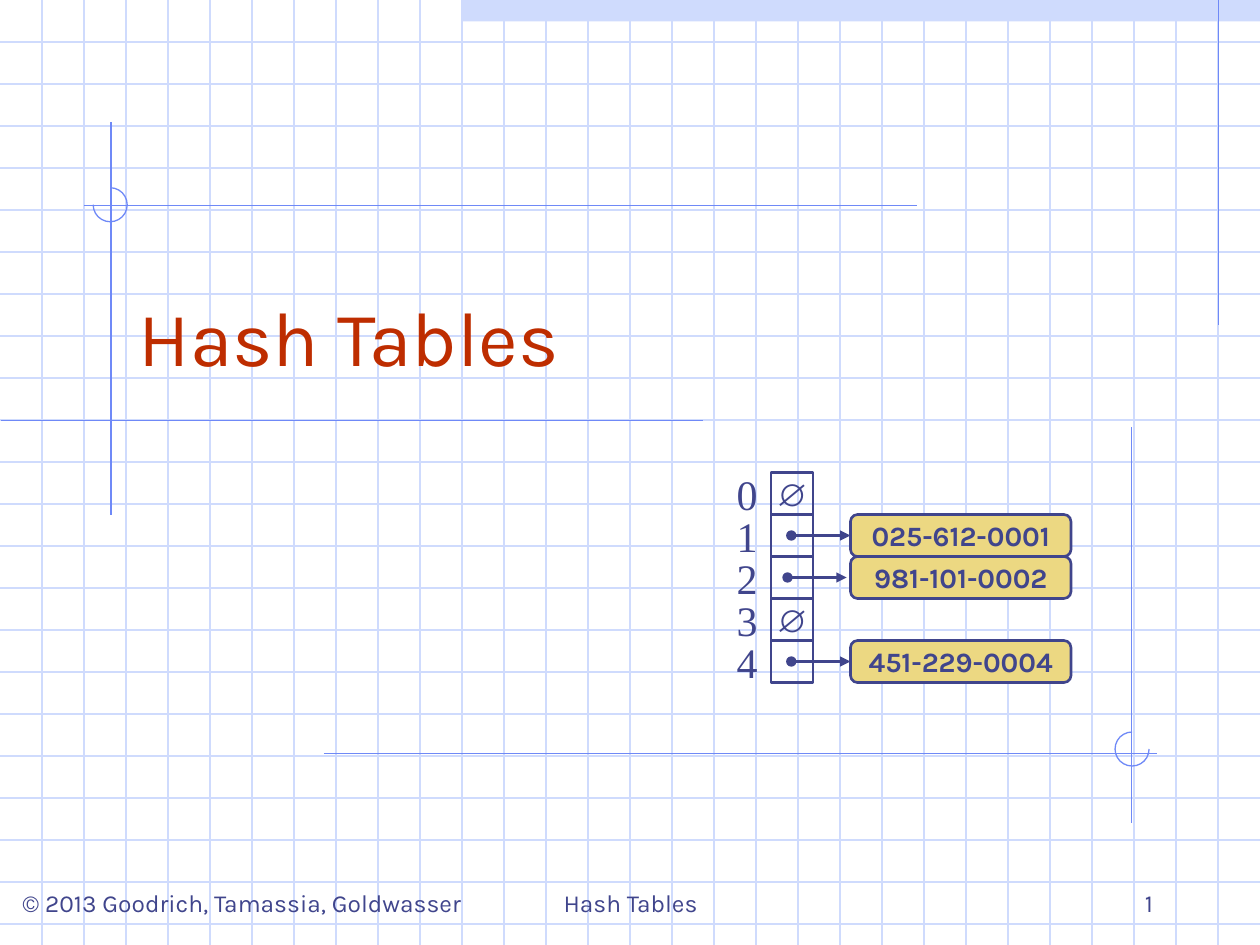
from lxml import etree
from pptx import Presentation
from pptx.dml.color import RGBColor
from pptx.enum.shapes import MSO_CONNECTOR, MSO_SHAPE
from pptx.enum.text import MSO_ANCHOR, MSO_AUTO_SIZE, PP_ALIGN
from pptx.oxml.ns import qn
from pptx.util import Inches, Pt

STRAIGHT = MSO_CONNECTOR.STRAIGHT
RECTANGLE, ROUNDED, ARC = MSO_SHAPE.RECTANGLE, MSO_SHAPE.ROUNDED_RECTANGLE, MSO_SHAPE.ARC
LEFT, CENTER, RIGHT = PP_ALIGN.LEFT, PP_ALIGN.CENTER, PP_ALIGN.RIGHT
TOP, MIDDLE, BOTTOM = MSO_ANCHOR.TOP, MSO_ANCHOR.MIDDLE, MSO_ANCHOR.BOTTOM

PALE_BLUE = RGBColor(0xCF, 0xDB, 0xFD)
BLUE = RGBColor(0x6F, 0x89, 0xF7)
INDIGO = RGBColor(0x40, 0x45, 0x8C)
RED = RGBColor(0xBE, 0x2D, 0x00)
GOLD = RGBColor(0xEC, 0xD8, 0x82)

deck = Presentation()
deck.slide_width = Inches(10)
deck.slide_height = Inches(7.5)
page = deck.slides.add_slide(deck.slide_layouts[5])
shapes = page.shapes


def draw_line(x1, y1, x2, y2, color, width=0.75):
    line = shapes.add_connector(STRAIGHT, Inches(x1), Inches(y1), Inches(x2), Inches(y2))
    line.line.color.rgb = color
    line.line.width = Pt(width)
    etree.SubElement(line.element.spPr, qn("a:effectLst"))
    return line


def write(shape, text, size, font="Karla", color=INDIGO, align=CENTER, anchor=MIDDLE, wrap=False, bold=False):
    frame = shape.text_frame
    frame.auto_size = MSO_AUTO_SIZE.NONE
    frame.word_wrap = wrap
    frame.vertical_anchor = anchor
    para = frame.paragraphs[0]
    para.alignment = align
    span = para.add_run()
    span.text = text
    span.font.size = Pt(size)
    span.font.name = font
    span.font.bold = bold
    span.font.color.rgb = color


band = shapes.add_shape(RECTANGLE, Inches(3.67), 0, Inches(6.33), Inches(0.17))
band.shadow.inherit = False
band.fill.solid()
band.fill.fore_color.rgb = PALE_BLUE
band.line.fill.background()

for step in range(1, 23):
    draw_line(0, step / 3, 10, step / 3, PALE_BLUE)
for step in range(1, 30):
    draw_line(step / 3, 0, step / 3, 7.5, PALE_BLUE)

for ends in [
    (9.67, 0, 9.67, 2.58),
    (0.88, 0.97, 0.88, 4.09),
    (0.01, 3.34, 5.58, 3.34),
    (0.67, 1.63, 7.28, 1.63),
    (2.57, 5.98, 9.18, 5.98),
    (8.98, 3.39, 8.98, 6.53),
]:
    draw_line(*ends, BLUE)

for left, top, start, end in [(0.74, 1.49, 162, 108), (8.85, 5.81, 0, 162)]:
    arc = shapes.add_shape(ARC, Inches(left), Inches(top), Inches(0.27), Inches(0.27))
    arc.shadow.inherit = False
    arc.adjustments[0] = start
    arc.adjustments[1] = end
    arc.fill.background()
    arc.line.color.rgb = BLUE
    arc.line.width = Pt(0.75)

title = shapes.title
title.left, title.top, title.width, title.height = Inches(1), Inches(1.83), Inches(8.5), Inches(1.25)
write(title, "Hash Tables", 44, color=RED, align=LEFT, anchor=BOTTOM, wrap=True)
title.element.getparent().append(title.element)

cell_size = 1 / 3
entries = [
    (None, None),
    ("025-612-0001", 6.28),
    ("981-101-0002", 6.25),
    (None, None),
    ("451-229-0004", 6.28),
]
for index, (entry, arrow_left) in enumerate(entries):
    top = 3.75 + index * cell_size
    cell = shapes.add_shape(RECTANGLE, Inches(6.12), Inches(top), Inches(cell_size), Inches(cell_size))
    cell.shadow.inherit = False
    cell.fill.background()
    cell.line.color.rgb = INDIGO
    cell.line.width = Pt(1.5)

    label = shapes.add_textbox(Inches(5.75), Inches(top - 0.08), Inches(0.36), Inches(0.5))
    write(label, str(index), 24, font="Times New Roman", anchor=TOP)

    if entry is None:
        write(cell, "∅", 18, font="Arial")
        continue

    box = shapes.add_shape(ROUNDED, Inches(6.75), Inches(top), Inches(1.75), Inches(cell_size))
    box.shadow.inherit = False
    box.fill.solid()
    box.fill.fore_color.rgb = GOLD
    box.line.color.rgb = INDIGO
    box.line.width = Pt(1.5)
    write(box, entry, 16, bold=True)

    middle = top + cell_size / 2
    arrow = draw_line(arrow_left, middle, arrow_left + 0.47, middle, INDIGO, 1.5)
    outline = arrow.line._get_or_add_ln()
    etree.SubElement(outline, qn("a:headEnd"), type="oval")
    etree.SubElement(outline, qn("a:tailEnd"), type="triangle")

for left, width, text, align in [
    (0.08, 3.92, "© 2013 Goodrich, Tamassia, Goldwasser", LEFT),
    (3.42, 3.17, "Hash Tables", CENTER),
    (7.17, 2.08, "1", RIGHT),
]:
    footer = shapes.add_textbox(Inches(left), Inches(6.83), Inches(width), Inches(0.5))
    write(footer, text, 14, align=align, anchor=BOTTOM, wrap=True)

deck.save("out.pptx")
